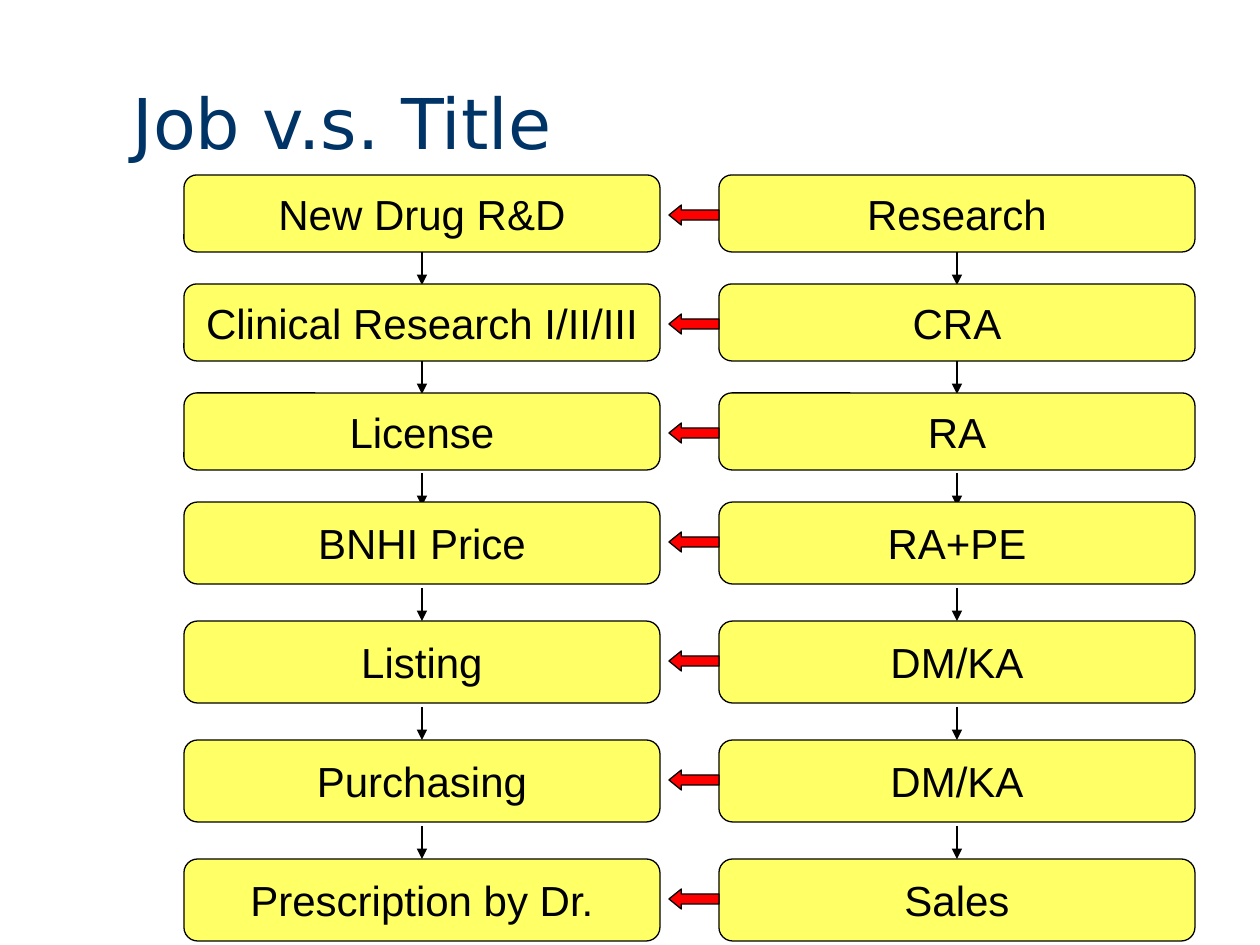
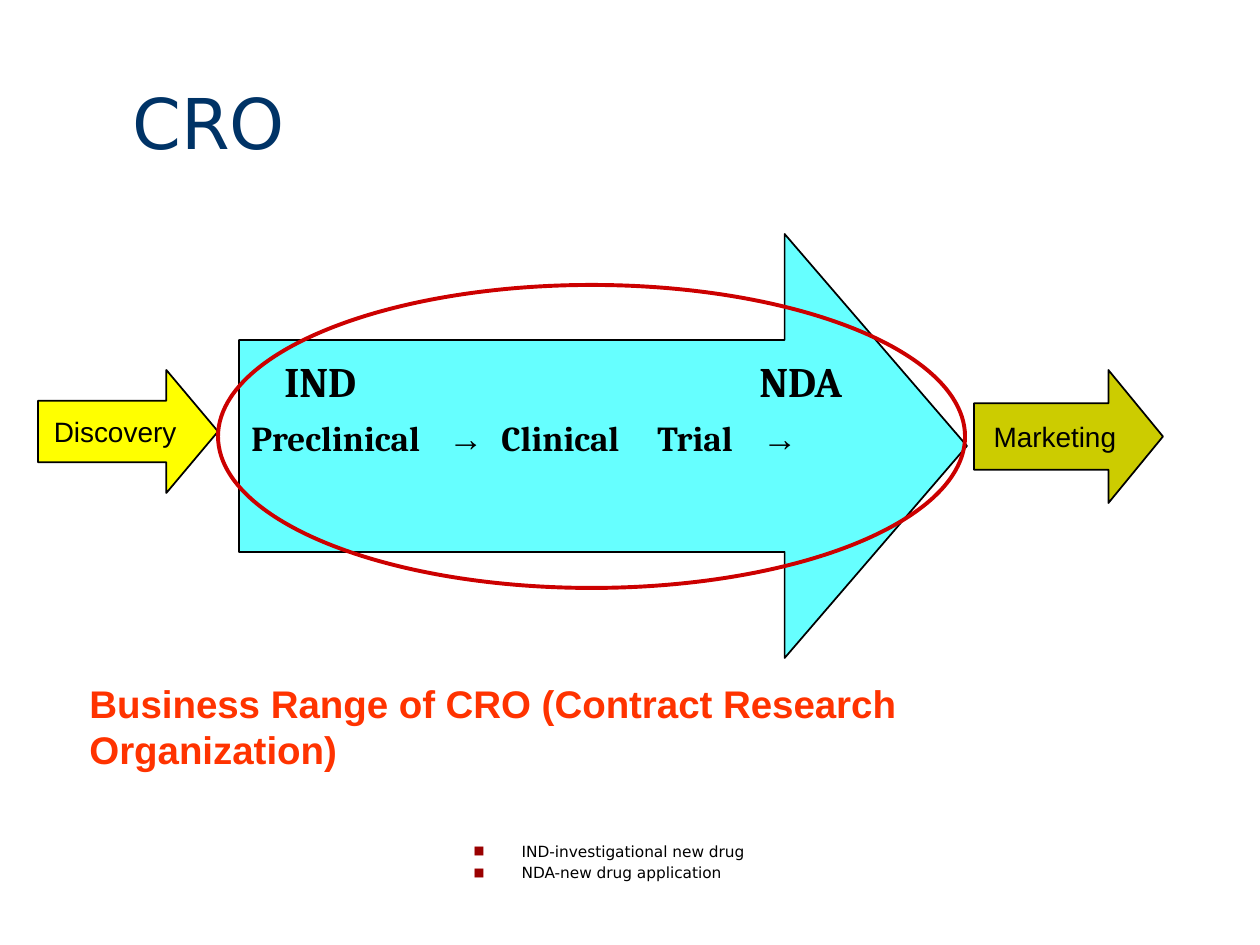
from dataclasses import dataclass

from lxml.etree import SubElement
from pptx import Presentation
from pptx.dml.color import RGBColor
from pptx.enum.shapes import MSO_CONNECTOR, MSO_SHAPE
from pptx.enum.text import MSO_ANCHOR, MSO_AUTO_SIZE, PP_ALIGN
from pptx.oxml.ns import qn
from pptx.util import Emu, Pt


@dataclass(frozen=True)
class Theme:
    """Colours, fonts and type sizes shared by the slides."""
    navy: str = "003366"
    black: str = "000000"
    box_yellow: str = "FFFF66"
    bright_yellow: str = "FFFF00"
    olive: str = "CCCC00"
    cyan: str = "66FFFF"
    red: str = "FF0000"
    ring_red: str = "CC0000"
    headline_red: str = "FF3300"
    bullet_red: str = "9A0000"
    sans: str = "Arial"
    serif: str = "Cambria"
    heading: str = "DejaVu Sans"
    title_size: float = 40
    box_size: float = 24
    stage_size: float = 20
    headline_size: float = 22
    label_size: float = 16
    note_size: float = 8.8
    thin: float = 0.75
    medium: float = 1
    thick: float = 2.25


THEME = Theme()
EMU_PER_PX = 914400 / 126
SLIDE_WIDTH, SLIDE_HEIGHT = 1260, 945
TITLE_ONLY, TITLE_AND_CONTENT = 5, 1

JOB_LEFT, TITLE_LEFT, BOX_WIDTH = 184, 719, 476
FIRST_TOP, DOWN_ARROW_LENGTH = 175, 33
EARLY, LATE = (77, 32), (82, 37)
STEPS = [
    ("New Drug R&D", "Research", EARLY, 0),
    ("Clinical Research I/II/III", "CRA", EARLY, 0),
    ("License", "RA", EARLY, 3),
    ("BNHI Price", "RA+PE", LATE, 4),
    ("Listing", "DM/KA", LATE, 4),
    ("Purchasing", "DM/KA", LATE, 4),
    ("Prescription by Dr.", "Sales", LATE, 4),
]


def px(length):
    """Turn a length in px into EMU."""
    return Emu(round(length * EMU_PER_PX))


def add_text(paragraph, text, size=THEME.box_size, font=THEME.sans,
             color=THEME.black, bold=False, align=PP_ALIGN.LEFT):
    """Append a formatted run to a paragraph."""
    paragraph.alignment = align
    run = paragraph.add_run()
    run.text = text
    run.font.size = Pt(size)
    run.font.name = font
    run.font.bold = bold
    run.font.color.rgb = RGBColor.from_string(color)


def place(shape, left, top, width, height):
    """Move and size a placeholder."""
    shape.left, shape.top = px(left), px(top)
    shape.width, shape.height = px(width), px(height)


def add_title(slide, text):
    """Fill the title placeholder in the shared title style."""
    place(slide.shapes.title, 120, 73, 1125, 97)
    frame = slide.shapes.title.text_frame
    frame.auto_size = MSO_AUTO_SIZE.NONE
    frame.vertical_anchor = MSO_ANCHOR.BOTTOM
    add_text(frame.paragraphs[0], text, size=THEME.title_size,
             font=THEME.heading, color=THEME.navy)


def add_figure(slide, kind, bounds, fill=None, line=THEME.black,
               line_width=THEME.thin, adjustments=()):
    """Add a preset shape with a flat fill and an outline."""
    shape = slide.shapes.add_shape(kind, *map(px, bounds))
    shape.shadow.inherit = False
    for index, value in enumerate(adjustments):
        shape.adjustments[index] = value
    if fill:
        shape.fill.solid()
        shape.fill.fore_color.rgb = RGBColor.from_string(fill)
    else:
        shape.fill.background()
    shape.line.color.rgb = RGBColor.from_string(line)
    shape.line.width = Pt(line_width)
    return shape


def add_label(shape, text, size):
    """Centre one unwrapped line of text in a shape."""
    frame = shape.text_frame
    frame.word_wrap = False
    frame.vertical_anchor = MSO_ANCHOR.MIDDLE
    add_text(frame.paragraphs[0], text, size=size, align=PP_ALIGN.CENTER)


def add_down_arrow(slide, center, top):
    """Add a thin vertical line with an arrowhead at its foot."""
    connector = slide.shapes.add_connector(
        MSO_CONNECTOR.STRAIGHT, px(center), px(top),
        px(center), px(top + DOWN_ARROW_LENGTH))
    connector.line.color.rgb = RGBColor.from_string(THEME.black)
    connector.line.width = Pt(THEME.thin)
    SubElement(connector.line._get_or_add_ln(), qn("a:tailEnd"), type="triangle")
    SubElement(connector._element.spPr, qn("a:effectLst"))


def add_flow(slide, left, labels):
    """Stack one column of step boxes joined by down arrows."""
    top = FIRST_TOP
    for index, (label, step) in enumerate(zip(labels, STEPS)):
        (height, spacing), arrow_gap = step[2:]
        box = add_figure(slide, MSO_SHAPE.FLOWCHART_ALTERNATE_PROCESS,
                         (left, top, BOX_WIDTH, height), THEME.box_yellow)
        add_label(box, label, THEME.box_size)
        if index < len(STEPS) - 1:
            add_down_arrow(slide, left + BOX_WIDTH // 2, top + height + arrow_gap)
        top += height + spacing


def add_role_arrows(slide):
    """Point from each job title to the job it does."""
    top = FIRST_TOP
    for _, _, (height, spacing), _ in STEPS:
        add_figure(slide, MSO_SHAPE.LEFT_ARROW, (669, top + 30, 50, 20),
                   THEME.red, adjustments=(0.5, 0.62))
        top += height + spacing


def add_block_arrow(slide, bounds, fill, head):
    """Add a right-pointing block arrow."""
    return add_figure(slide, MSO_SHAPE.RIGHT_ARROW, bounds, fill,
                      line_width=THEME.medium, adjustments=(0.5, head))


def set_tabs(paragraph, positions):
    """Give a paragraph left tab stops."""
    tabs = SubElement(paragraph._p.get_or_add_pPr(), qn("a:tabLst"))
    for position in positions:
        SubElement(tabs, qn("a:tab"), pos=str(px(position)), algn="l")


def add_trial_stages(arrow):
    """Write the milestones and the stages into the large arrow."""
    frame = arrow.text_frame
    frame.word_wrap = True
    frame.vertical_anchor = MSO_ANCHOR.TOP
    frame.margin_top = px(16)
    milestones, stages = frame.paragraphs[0], frame.add_paragraph()
    set_tabs(milestones, (33, 508))
    add_text(milestones, "\tIND\tNDA", font=THEME.serif, bold=True)
    set_tabs(stages, (197, 250, 406, 511))
    stages.space_before = Pt(6)
    for text, font in (("Preclinical\t", THEME.serif), ("→", THEME.sans),
                       ("\tClinical\tTrial\t", THEME.serif), ("→", THEME.sans)):
        add_text(stages, text, size=THEME.stage_size, font=font, bold=True)


def add_headline(slide, text):
    """Add the bold line under the arrows."""
    box = slide.shapes.add_textbox(*map(px, (77, 674, 1089, 58)))
    box.text_frame.word_wrap = False
    add_text(box.text_frame.paragraphs[0], text, size=THEME.headline_size,
             color=THEME.headline_red, bold=True)


def set_bullet(paragraph):
    """Give a paragraph a small red square bullet and a hanging indent."""
    properties = paragraph._p.get_or_add_pPr()
    properties.set("marL", str(px(48)))
    properties.set("indent", str(px(-48)))
    color = SubElement(properties, qn("a:buClr"))
    SubElement(color, qn("a:srgbClr"), val=THEME.bullet_red)
    SubElement(properties, qn("a:buSzPct"), val="75000")
    SubElement(properties, qn("a:buFont"), typeface=THEME.heading)
    SubElement(properties, qn("a:buChar"), char="■")


def add_notes_list(slide, items):
    """Fill the body placeholder with small bulleted definitions."""
    body = slide.placeholders[1]
    place(body, 461, 839, 752, 57)
    frame = body.text_frame
    frame.auto_size = MSO_AUTO_SIZE.NONE
    for index, item in enumerate(items):
        paragraph = frame.add_paragraph() if index else frame.paragraphs[0]
        set_bullet(paragraph)
        paragraph.line_spacing = 0.8
        paragraph.space_before = Pt(4 if index else 0)
        add_text(paragraph, item, size=THEME.note_size, font=THEME.heading)


def build_job_slide(presentation):
    """Build the slide that matches jobs with job titles."""
    slide = presentation.slides.add_slide(presentation.slide_layouts[TITLE_ONLY])
    add_title(slide, "Job v.s. Title")
    add_flow(slide, JOB_LEFT, [step[0] for step in STEPS])
    add_flow(slide, TITLE_LEFT, [step[1] for step in STEPS])
    add_role_arrows(slide)


def build_cro_slide(presentation):
    """Build the slide that shows the business range of a CRO."""
    slide = presentation.slides.add_slide(
        presentation.slide_layouts[TITLE_AND_CONTENT])
    add_title(slide, "CRO")
    discovery = add_block_arrow(slide, (38, 370, 180, 123), THEME.bright_yellow, 0.42)
    add_label(discovery, "Discovery", THEME.label_size)
    marketing = add_block_arrow(slide, (974, 370, 189, 133), THEME.olive, 0.41)
    add_label(marketing, "Marketing", THEME.label_size)
    add_trial_stages(add_block_arrow(slide, (239, 234, 728, 424), THEME.cyan, 0.43))
    add_headline(slide, "Business Range of CRO (Contract Research Organization)")
    add_figure(slide, MSO_SHAPE.OVAL, (218, 285, 747, 303),
               line=THEME.ring_red, line_width=THEME.thick)
    add_notes_list(slide, ["IND-investigational new drug", "NDA-new drug application"])


def main():
    """Build and save the presentation."""
    presentation = Presentation()
    presentation.slide_width = px(SLIDE_WIDTH)
    presentation.slide_height = px(SLIDE_HEIGHT)
    build_job_slide(presentation)
    build_cro_slide(presentation)
    presentation.save("out.pptx")


if __name__ == "__main__":
    main()
